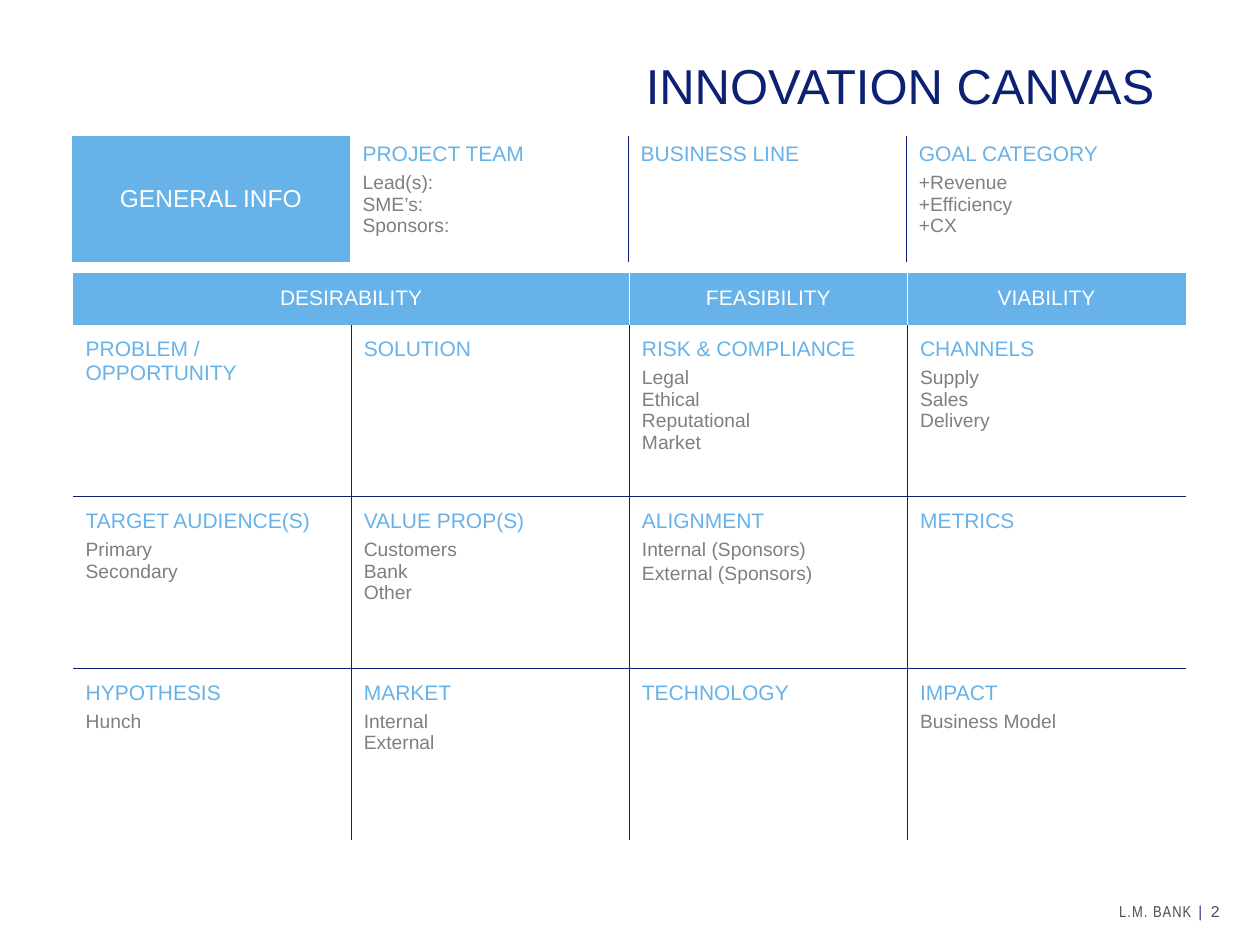
import lxml.etree
import pptx
import pptx.dml.color
import pptx.enum.text
import pptx.oxml.ns
import pptx.util

Inches = pptx.util.Inches
Align = pptx.enum.text.PP_ALIGN
Anchor = pptx.enum.text.MSO_ANCHOR

NAVY, SKY, GRAY, DARK, WHITE = "0C2074", "67B2E8", "7F7F7F", "4D4D4D", "FFFFFF"

INFO = [
    ["GENERAL INFO"],
    ["PROJECT TEAM", "Lead(s):", "SME’s:", "Sponsors:"],
    ["BUSINESS LINE"],
    ["GOAL CATEGORY", "+Revenue", "+Efficiency", "+CX"],
]
INFO_VERTICALS = [[None, None, NAVY, NAVY, None]]

HEADERS = {0: "DESIRABILITY", 2: "FEASIBILITY", 3: "VIABILITY"}
CANVAS = [
    [
        ["PROBLEM / OPPORTUNITY"],
        ["SOLUTION"],
        ["RISK & COMPLIANCE", "Legal", "Ethical", "Reputational", "Market"],
        ["CHANNELS", "Supply", "Sales", "Delivery"],
    ],
    [
        ["TARGET AUDIENCE(S)", "Primary", "Secondary"],
        ["VALUE PROP(S)", "Customers", "Bank", "Other"],
        ["ALIGNMENT", "Internal (Sponsors)", "External (Sponsors)"],
        ["METRICS"],
    ],
    [
        ["HYPOTHESIS", "Hunch"],
        ["MARKET", "Internal", "External"],
        ["TECHNOLOGY"],
        ["IMPACT", "Business Model"],
    ],
]
CANVAS_VERTICALS = [[None, None, WHITE, WHITE, None]] + [[None, NAVY, NAVY, NAVY, None]] * 3
CANVAS_HORIZONTALS = [None, WHITE, NAVY, NAVY, None]


def color(value):
    """Turn a hex string into a colour."""
    return pptx.dml.color.RGBColor.from_string(value)


def set_font(font, size, value, name="Arial"):
    """Apply size, colour and typeface to a font."""
    font.size = pptx.util.Pt(size)
    font.color.rgb = color(value)
    font.name = name


def set_frame(frame, anchor, top=0):
    """Give a text frame tight margins and fixed size."""
    frame.word_wrap = True
    frame.auto_size = pptx.enum.text.MSO_AUTO_SIZE.NONE
    frame.vertical_anchor = anchor
    frame.margin_left = frame.margin_right = frame.margin_bottom = 0
    frame.margin_top = Inches(top)


def set_border(properties, position, side, value):
    """Draw one cell edge, or leave it open when it has no colour."""
    line = lxml.etree.Element(pptx.oxml.ns.qn(f"a:ln{side}"), w=str(pptx.util.Pt(0.5)))
    fill = lxml.etree.SubElement(line, pptx.oxml.ns.qn("a:solidFill" if value else "a:noFill"))
    if value:
        lxml.etree.SubElement(fill, pptx.oxml.ns.qn("a:srgbClr"), val=value)
    properties.insert(position, line)


def add_grid(slide, left, top, width, heights, verticals, horizontals):
    """Add a white four-column table with ruled inner edges."""
    columns = len(verticals[0]) - 1
    table = slide.shapes.add_table(
        len(heights), columns, left, top, width, sum(heights)
    ).table
    table.first_row = table.horz_banding = False
    for row, height in enumerate(heights):
        table.rows[row].height = height
        for column in range(columns):
            cell = table.cell(row, column)
            fill_cell(cell, WHITE)
            edges = {
                "L": verticals[row][column],
                "R": verticals[row][column + 1],
                "T": horizontals[row],
                "B": horizontals[row + 1],
            }
            for position, (side, value) in enumerate(edges.items()):
                set_border(cell._tc.get_or_add_tcPr(), position, side, value)
    return table


def fill_cell(cell, value):
    """Fill a cell with one colour."""
    cell.fill.solid()
    cell.fill.fore_color.rgb = color(value)


def write_label(cell, text, size):
    """Write a centred white label on a blue cell."""
    fill_cell(cell, SKY)
    paragraph = cell.text_frame.paragraphs[0]
    paragraph.text = text
    paragraph.alignment = Align.CENTER
    set_font(paragraph.font, size, WHITE)


def write_topic(cell, lines):
    """Write a blue heading with grey details below it."""
    cell.text_frame.text = "\n".join(lines)
    heading, *details = cell.text_frame.paragraphs
    set_font(heading.font, 12, SKY)
    for paragraph in details:
        set_font(paragraph.font, 11, GRAY)
    if details:
        details[0].line_spacing = 1.3


def add_title(slide, left, top, width, height):
    """Place and format the slide title."""
    title = slide.shapes.title
    title.left, title.top, title.width, title.height = left, top, width, height
    set_frame(title.text_frame, Anchor.TOP, 0.04)
    paragraph = title.text_frame.paragraphs[0]
    paragraph.text = "INNOVATION CANVAS"
    paragraph.alignment = Align.RIGHT
    set_font(paragraph.font, 28, NAVY)


def add_info(slide, left, top, width, height):
    """Add the general information band."""
    table = add_grid(slide, left, top, width, [height], INFO_VERTICALS, [None, None])
    for column, lines in enumerate(INFO[1:], 1):
        write_topic(table.cell(0, column), lines)
    label = table.cell(0, 0)
    write_label(label, INFO[0][0], 14)
    label.vertical_anchor = Anchor.MIDDLE


def add_canvas(slide, left, top, width, height):
    """Add the canvas with its header row and three rows of topics."""
    header = Inches(0.41)
    heights = [header] + [(height - header) // len(CANVAS)] * len(CANVAS)
    table = add_grid(slide, left, top, width, heights, CANVAS_VERTICALS, CANVAS_HORIZONTALS)
    for cell in table.iter_cells():
        cell.margin_top = Inches(0.1)
    table.cell(0, 0).merge(table.cell(0, 1))
    for column, text in HEADERS.items():
        write_label(table.cell(0, column), text, 12)
    for row, topics in enumerate(CANVAS, 1):
        for column, lines in enumerate(topics):
            write_topic(table.cell(row, column), lines)
    table.cell(2, 2).text_frame.paragraphs[2].line_spacing = 1.1


def add_footer(slide, left, top, width, height):
    """Add the bank name and the page number."""
    number_width, gap = Inches(0.39), Inches(0.07)
    name_width = width - number_width - gap
    name = slide.shapes.add_textbox(left, top, name_width, height).text_frame
    set_frame(name, Anchor.BOTTOM)
    paragraph = name.paragraphs[0]
    paragraph.alignment = Align.RIGHT
    for text, value, spacing in (("L.M. BANK", DARK, "60"), (" |", NAVY, "150")):
        run = paragraph.add_run()
        run.text = text
        set_font(run.font, 9, value, "Arial Narrow")
        run._r.get_or_add_rPr().set("spc", spacing)

    number = slide.shapes.add_textbox(
        left + name_width + gap, top, number_width, height
    ).text_frame
    set_frame(number, Anchor.BOTTOM)
    number.text = "2"
    set_font(number.paragraphs[0].font, 9, DARK)


def main():
    """Build the slide and save it."""
    presentation = pptx.Presentation()
    presentation.slide_width, presentation.slide_height = Inches(10), Inches(7.5)
    slide = presentation.slides.add_slide(presentation.slide_layouts.get_by_name("Title Only"))
    add_title(slide, Inches(1.92), Inches(0.4), Inches(7.24), Inches(0.83))
    add_info(slide, Inches(0.57), Inches(1.08), Inches(8.83), Inches(1))
    add_canvas(slide, Inches(0.58), Inches(2.17), Inches(8.83), Inches(4.5))
    add_footer(slide, Inches(7.86), Inches(7.11), Inches(2.14), Inches(0.2))
    presentation.save("out.pptx")


if __name__ == "__main__":
    main()
